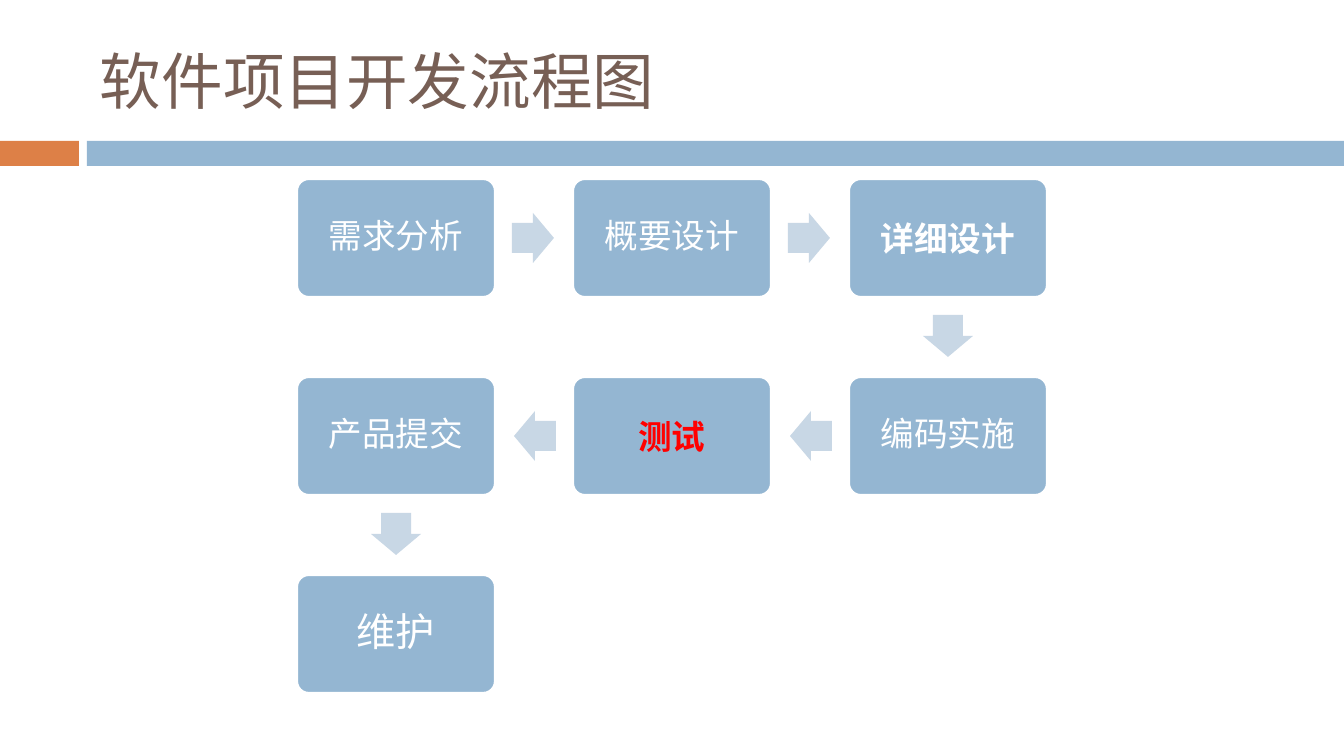
import math
from dataclasses import dataclass

import pptx
import pptx.dml.color
import pptx.enum.shapes
import pptx.enum.text
import pptx.util

SHAPE = pptx.enum.shapes.MSO_SHAPE
ALIGN = pptx.enum.text.PP_ALIGN
EMU_PER_PX = 914400 / 100.8

SLIDE_WIDTH, SLIDE_HEIGHT = 1344, 756
STEP_WIDTH, STEP_HEIGHT = 198, 118
FIRST_LEFT, FIRST_TOP = 297, 179
COLUMN_PITCH, ROW_PITCH = 276, 198
ARROW_LENGTH, ARROW_BREADTH = 42, 50


@dataclass(frozen=True)
class Theme:
    font: str = "Calibri"
    title: str = "775F55"
    accent: str = "DD8047"
    primary: str = "94B6D2"
    arrow: str = "C8D7E5"
    light: str = "FFFFFF"
    highlight: str = "FF0000"
    title_size: int = 44
    step_size: int = 24
    last_step_size: int = 28


def px(length):
    return pptx.util.Emu(round(length * EMU_PER_PX))


def rgb(color):
    return pptx.dml.color.RGBColor.from_string(color)


def step_center(column, row):
    return (FIRST_LEFT + STEP_WIDTH // 2 + column * COLUMN_PITCH,
            FIRST_TOP + STEP_HEIGHT // 2 + row * ROW_PITCH)


class FlowSlide:
    def __init__(self, slide, theme):
        self.slide = slide
        self.theme = theme

    def block(self, kind, left, top, width, height, fill):
        """Add a filled preset shape without outline or shadow."""
        shape = self.slide.shapes.add_shape(
            kind, px(left), px(top), px(width), px(height))
        shape.shadow.inherit = False
        shape.fill.solid()
        shape.fill.fore_color.rgb = rgb(fill)
        shape.line.fill.background()
        return shape

    def label(self, shape, text, size, color, align, bold=False):
        """Put one vertically centred paragraph into a shape."""
        frame = shape.text_frame
        frame.word_wrap = True
        frame.vertical_anchor = pptx.enum.text.MSO_ANCHOR.MIDDLE
        frame.text = text
        paragraph = frame.paragraphs[0]
        paragraph.alignment = align
        font = paragraph.runs[0].font
        font.name = self.theme.font
        font.size = pptx.util.Pt(size)
        font.bold = bold
        font.color.rgb = rgb(color)
        return paragraph

    def title(self, text, left, top, width, height):
        box = self.slide.shapes.add_textbox(
            px(left), px(top), px(width), px(height))
        self.label(box, text, self.theme.title_size, self.theme.title, ALIGN.LEFT)

    def step(self, text, column, row, size, color, bold):
        x, y = step_center(column, row)
        shape = self.block(SHAPE.ROUNDED_RECTANGLE,
                           x - STEP_WIDTH // 2, y - STEP_HEIGHT // 2,
                           STEP_WIDTH, STEP_HEIGHT, self.theme.primary)
        shape.adjustments[0] = 0.1
        shape.line.color.rgb = rgb(self.theme.light)
        shape.line.width = pptx.util.Pt(1.5)
        paragraph = self.label(shape, text, size, color, ALIGN.CENTER, bold)
        if not bold:
            paragraph.line_spacing = 0.9

    def arrow(self, start, end):
        """Add a block arrow between two grid cells, one px nearer the start."""
        (x1, y1), (x2, y2) = step_center(*start), step_center(*end)
        angle = math.atan2(y2 - y1, x2 - x1)
        x = (x1 + x2) // 2 - round(math.cos(angle))
        y = (y1 + y2) // 2 - round(math.sin(angle))
        shape = self.block(SHAPE.RIGHT_ARROW,
                           x - ARROW_LENGTH // 2, y - ARROW_BREADTH // 2,
                           ARROW_LENGTH, ARROW_BREADTH, self.theme.arrow)
        shape.adjustments[0] = 0.6
        shape.adjustments[1] = 0.5
        shape.rotation = math.degrees(angle)


def main():
    presentation = pptx.Presentation()
    presentation.slide_width = px(SLIDE_WIDTH)
    presentation.slide_height = px(SLIDE_HEIGHT)
    theme = Theme()
    flow = FlowSlide(
        presentation.slides.add_slide(presentation.slide_layouts[6]), theme)

    flow.block(SHAPE.RECTANGLE, 0, 141, 79, 25, theme.accent)
    flow.block(SHAPE.RECTANGLE, 87, 141, 1257, 25, theme.primary)
    flow.title("软件项目开发流程图", 90, 25, 1198, 109)

    steps = [
        ("需求分析", (0, 0), theme.step_size, theme.light, False),
        ("概要设计", (1, 0), theme.step_size, theme.light, False),
        ("详细设计", (2, 0), theme.step_size, theme.light, True),
        ("编码实施", (2, 1), theme.step_size, theme.light, False),
        ("测试", (1, 1), theme.step_size, theme.highlight, True),
        ("产品提交", (0, 1), theme.step_size, theme.light, False),
        ("维护", (0, 2), theme.last_step_size, theme.light, False),
    ]
    for text, cell, size, color, bold in steps:
        flow.step(text, *cell, size, color, bold)
    for current, following in zip(steps, steps[1:]):
        flow.arrow(current[1], following[1])

    presentation.save("out.pptx")


if __name__ == "__main__":
    main()
